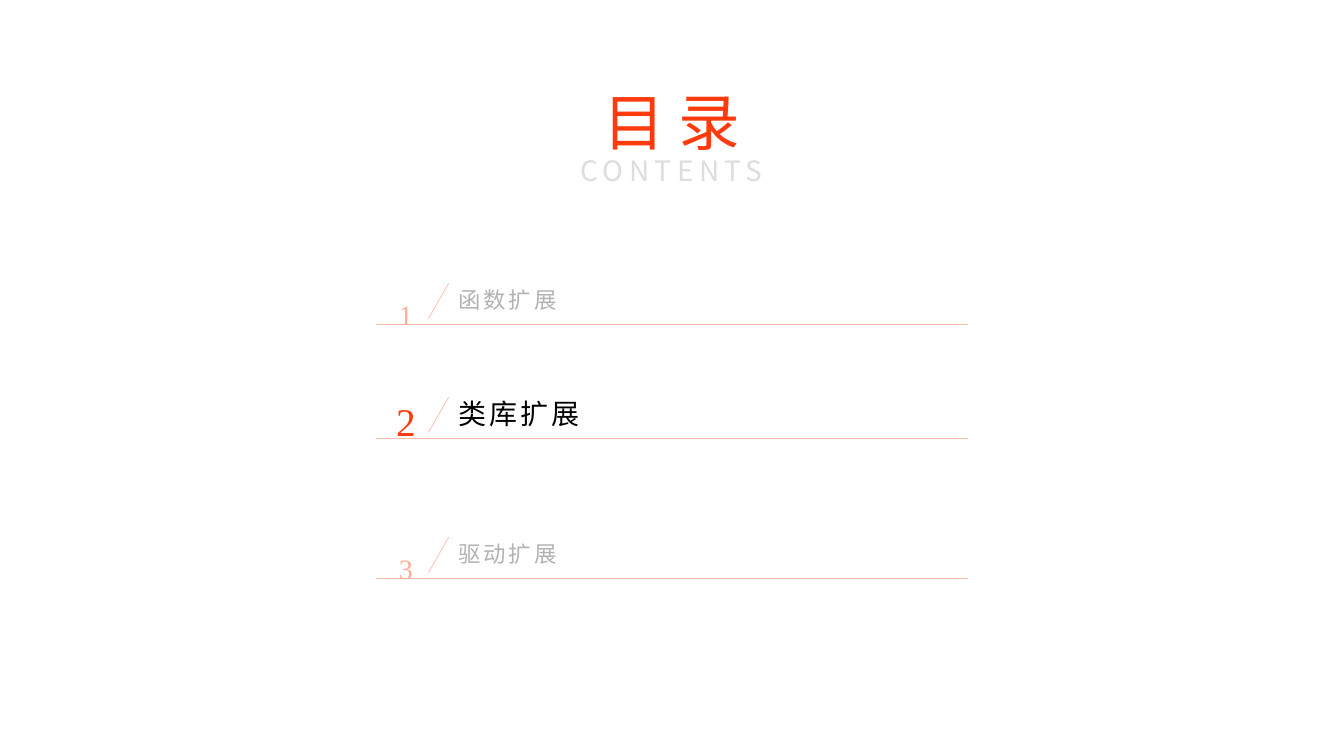
from dataclasses import dataclass

from lxml import etree
from pptx import Presentation
from pptx.dml.color import RGBColor
from pptx.enum.shapes import MSO_CONNECTOR
from pptx.enum.text import MSO_ANCHOR, MSO_AUTO_SIZE, PP_ALIGN
from pptx.oxml.ns import qn
from pptx.slide import Slide
from pptx.util import Inches, Pt

STRAIGHT = MSO_CONNECTOR.STRAIGHT
TOP, MIDDLE, BOTTOM = MSO_ANCHOR.TOP, MSO_ANCHOR.MIDDLE, MSO_ANCHOR.BOTTOM
LEFT, CENTER = PP_ALIGN.LEFT, PP_ALIGN.CENTER
GROW = MSO_AUTO_SIZE.SHAPE_TO_FIT_TEXT

ORANGE = RGBColor(0xFF, 0x3B, 0x0D)
PALE_ORANGE = RGBColor(0xFF, 0xAE, 0x9B)
RULE_ORANGE = RGBColor(0xFF, 0xBB, 0xAB)
BLACK = RGBColor(0, 0, 0)
GRAY = RGBColor(0xB2, 0xB2, 0xB2)
LIGHT_GRAY = RGBColor(0xDD, 0xDD, 0xDD)

SANS = "Noto Sans CJK SC"
SERIF = "Times New Roman"
RULE_LEFT, RULE_RIGHT = 3.73, 9.6
TITLE_LEFT = 4.47


@dataclass(frozen=True)
class TextStyle:
    """Look of one run of text; spacing is in points."""
    size: int
    color: RGBColor
    font: str = SANS
    spacing: float = 0


@dataclass(frozen=True)
class Entry:
    """One line of the contents, placed by the height of its rule."""
    number: str
    title: str
    rule_y: float
    active: bool = False


ENTRIES = [
    Entry("1", "函数扩展", 3.22),
    Entry("2", "类库扩展", 4.35, active=True),
    Entry("3", "驱动扩展", 5.74),
]


def add_line(s: Slide, x1: float, y1: float, x2: float, y2: float) -> None:
    """Draw a thin pale line without a shadow."""
    line = s.shapes.add_connector(
        STRAIGHT, Inches(x1), Inches(y1), Inches(x2), Inches(y2))
    line.line.color.rgb = RULE_ORANGE
    line.line.width = Pt(0.5)
    etree.SubElement(line._element.spPr, qn("a:effectLst"))


def add_text(s: Slide, text: str, box: tuple[float, float, float, float],
             style: TextStyle, align: PP_ALIGN = CENTER,
             anchor: MSO_ANCHOR = MIDDLE, inset: float = 0,
             line_spacing: float = 1.0):
    """Add a one-run text box and return its text frame."""
    tf = s.shapes.add_textbox(*(Inches(v) for v in box)).text_frame
    tf.word_wrap = True
    tf.vertical_anchor = anchor
    tf.margin_left = Inches(inset)
    tf.margin_right = tf.margin_top = tf.margin_bottom = 0
    p = tf.paragraphs[0]
    p.alignment = align
    p.line_spacing = line_spacing
    r = p.add_run()
    r.text = text
    r.font.size = Pt(style.size)
    r.font.color.rgb = style.color
    r.font.name = style.font
    rPr = r._r.get_or_add_rPr()
    etree.SubElement(rPr, qn("a:ea")).set("typeface", style.font)
    if style.spacing:
        rPr.set("spc", str(round(style.spacing * 100)))
    return tf


def add_entry(s: Slide, entry: Entry) -> None:
    """Draw the rule, title, slash and number of one entry."""
    y = entry.rule_y
    if entry.active:
        title_style = TextStyle(20, BLACK, spacing=2)
        number_style = TextStyle(28, ORANGE, SERIF)
    else:
        title_style = TextStyle(16, GRAY, spacing=2)
        number_style = TextStyle(20, PALE_ORANGE, SERIF)
    add_line(s, RULE_LEFT, y, RULE_RIGHT, y)
    add_text(s, entry.title,
             (TITLE_LEFT, y - 0.49, RULE_RIGHT - TITLE_LEFT, 0.49),
             title_style, align=LEFT, inset=0.08)
    add_line(s, 4.45, y - 0.41, 4.25, y - 0.06)
    add_text(s, entry.number, (RULE_LEFT, y - 0.53, 0.59, 0.59),
             number_style, anchor=BOTTOM, line_spacing=1.3)


def add_heading(s: Slide) -> None:
    """Draw the heading and its English subtitle."""
    add_text(s, "目 录", (5.82, 0.83, 1.69, 0.73), TextStyle(44, ORANGE))
    tf = add_text(s, "CONTENTS", (4.64, 1.47, 4.04, 0.44),
                  TextStyle(20, LIGHT_GRAY, spacing=3.9), anchor=TOP)
    tf.margin_left = tf.margin_right = Inches(0.1)
    tf.margin_top = tf.margin_bottom = Inches(0.05)
    tf.auto_size = GROW


def main() -> None:
    """Build and save the contents slide."""
    prs = Presentation()
    prs.slide_width, prs.slide_height = Inches(13.33), Inches(7.5)
    s = prs.slides.add_slide(prs.slide_layouts[6])
    add_heading(s)
    for entry in ENTRIES:
        add_entry(s, entry)
    prs.save("out.pptx")


main()
